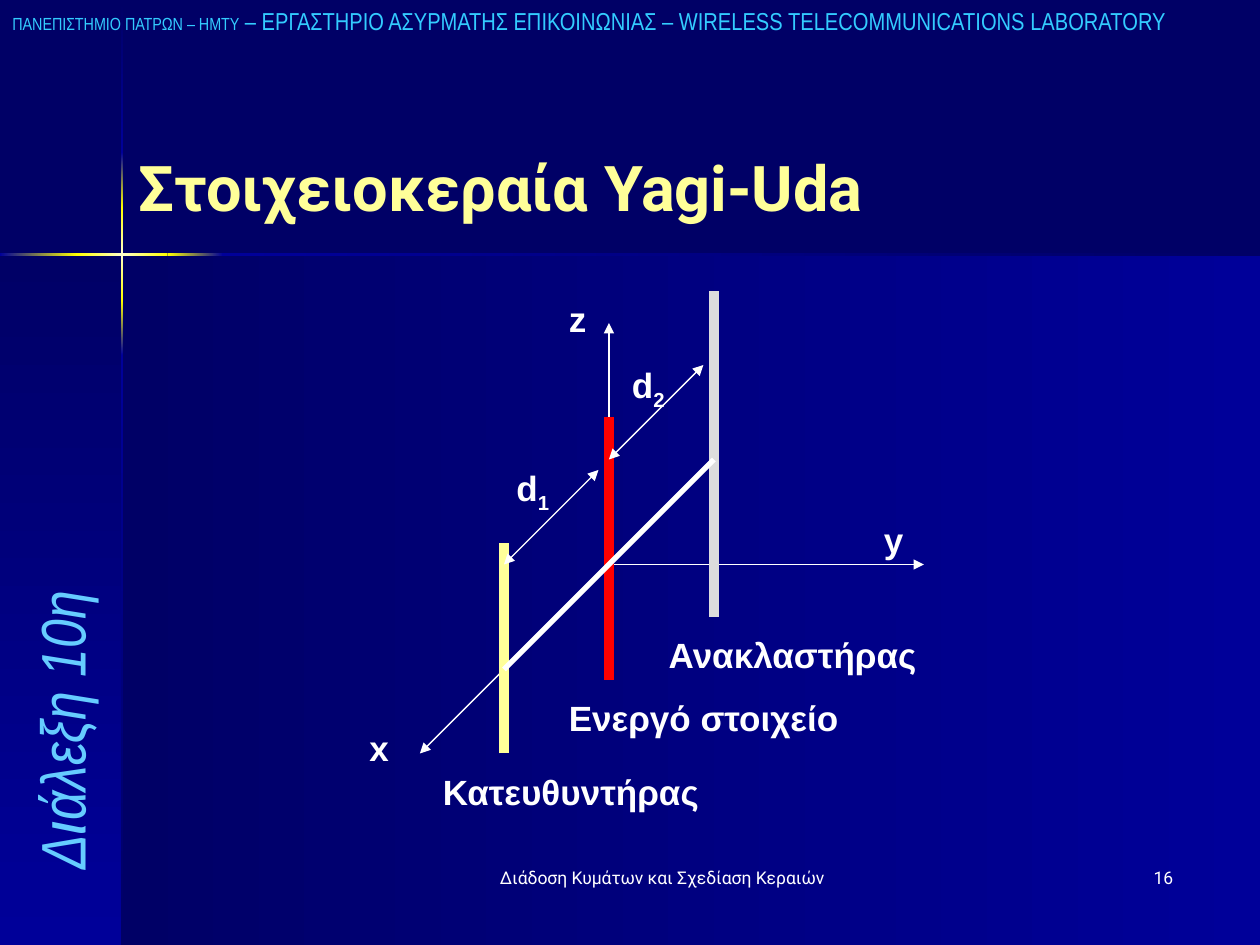
from dataclasses import dataclass
from copy import deepcopy
from itertools import pairwise

from lxml import etree
from pptx import Presentation
from pptx.dml.color import RGBColor
from pptx.enum.shapes import MSO_CONNECTOR, MSO_SHAPE
from pptx.enum.text import MSO_ANCHOR, MSO_AUTO_SIZE, PP_ALIGN
from pptx.oxml.ns import qn
from pptx.util import Inches, Pt

RECTANGLE = MSO_SHAPE.RECTANGLE
STRAIGHT = MSO_CONNECTOR.STRAIGHT
TOP, BOTTOM = MSO_ANCHOR.TOP, MSO_ANCHOR.BOTTOM
LEFT, CENTER, RIGHT = PP_ALIGN.LEFT, PP_ALIGN.CENTER, PP_ALIGN.RIGHT
GROW, FIXED = MSO_AUTO_SIZE.SHAPE_TO_FIT_TEXT, MSO_AUTO_SIZE.NONE
RIGHTWARD, DOWNWARD = 0, 270

COLUMNS, ROWS = 100, 75
ORIGIN = (48.33, 44.8)  # where the antenna axes meet, in columns and rows
STEP = 10 / 12          # one diagram unit, in columns or rows


@dataclass(frozen=True)
class Theme:
    night: str = "000066"
    blue: str = "000099"
    gold: str = "FFFF00"
    glow: str = "FFFFCC"
    title: str = "FFFF99"
    lecture: str = "66CCFF"
    header: str = "33CCFF"
    white: str = "FFFFFF"
    active: str = "FF0000"
    reflector: str = "DDDDDD"
    narrow: str = "Arial Narrow"
    label: str = "Arial"
    body: str = "Roboto"
    large: int = 36
    medium: int = 20
    heading: int = 14
    small: int = 10
    thin: float = 0.75
    boom: int = 3
    rod: int = 6


def write(para, text, *, size, font, color, bold=False, italic=False, subscript=False):
    span = para.add_run()
    span.text = text
    span.font.size = Pt(size)
    span.font.name = font
    span.font.color.rgb = RGBColor.from_string(color)
    span.font.bold, span.font.italic = bold, italic
    if subscript:
        span.font._element.set("baseline", "-25000")


def diagram_point(x, y):
    """Turn diagram units, counted from the axes' origin, into columns and rows."""
    return ORIGIN[0] + x * STEP, ORIGIN[1] + y * STEP


class Page:
    def __init__(self, deck, theme):
        self.theme = theme
        self.slide = deck.slides.add_slide(deck.slide_layouts[6])
        self.column = deck.slide_width / COLUMNS
        self.row = deck.slide_height / ROWS
        background = self.slide.background.fill
        background.solid()
        background.fore_color.rgb = RGBColor.from_string(theme.night)

    def scale(self, *lengths):
        """Turn alternating columns and rows into slide lengths."""
        units = (self.column, self.row) * 2
        return [round(length * unit) for length, unit in zip(lengths, units)]

    def panel(self, area, colors, angle):
        """Add a rectangle whose gradient runs evenly through the colours."""
        shape = self.slide.shapes.add_shape(RECTANGLE, *self.scale(*area))
        shape.shadow.inherit = False
        shape.line.fill.background()
        shape.fill.gradient()
        shape.fill.gradient_angle = angle
        stops = shape._element.spPr.find(".//" + qn("a:gsLst"))
        for _ in colors[2:]:
            stops.append(deepcopy(stops[0]))
        for index, (stop, color) in enumerate(zip(shape.fill.gradient_stops, colors)):
            stop.position = index / (len(colors) - 1)
            stop.color.rgb = RGBColor.from_string(color)

    def line(self, start, end, color, width, head=False, tail=False):
        """Join two diagram points; head and tail put arrows at start and end."""
        ends = self.scale(*diagram_point(*start), *diagram_point(*end))
        connector = self.slide.shapes.add_connector(STRAIGHT, *ends)
        connector.line.color.rgb = RGBColor.from_string(color)
        connector.line.width = Pt(width)
        outline = connector.line._get_or_add_ln()
        for name, wanted in (("a:headEnd", head), ("a:tailEnd", tail)):
            if wanted:
                etree.SubElement(outline, qn(name)).set("type", "triangle")
        etree.SubElement(connector._element.spPr, qn("a:effectLst"))

    def text(self, area, spans, *, align=LEFT, anchor=TOP, rotation=0,
             spacing=1.0, fit=FIXED, **style):
        """Add a box of (text, own format) spans that share the given style."""
        box = self.slide.shapes.add_textbox(*self.scale(*area))
        box.rotation = rotation
        frame = box.text_frame
        frame.word_wrap = True
        frame.auto_size = fit
        frame.vertical_anchor = anchor
        para = frame.paragraphs[0]
        para.alignment = align
        para.line_spacing = spacing
        for text, own in spans:
            write(para, text, **{**style, **own})

    def label(self, x, y, text, subscript="", width=9, align=LEFT):
        spans = [(text, {})]
        if subscript:
            spans.append((subscript, {"subscript": True}))
        self.text((*diagram_point(x, y), width * STEP, 6), spans, align=align,
                  spacing=1.5, fit=GROW, size=self.theme.medium,
                  font=self.theme.label, color=self.theme.white, bold=True)


def draw_frame(page):
    theme = page.theme
    page.panel((9.7, 20.2, 90.3, 54.8), (theme.night, theme.blue), RIGHTWARD)
    page.panel((0, 20.2, 9.7, 54.8), (theme.night, theme.blue), DOWNWARD)
    shades = [
        (theme.night, theme.blue),
        (theme.blue, theme.gold),
        (theme.gold, theme.glow, theme.gold),
        (theme.gold, theme.blue),
        (theme.blue, theme.night),
    ]
    for (top, bottom), colors in zip(pairwise((0.1, 12.1, 16.5, 23.8, 28.2, 75)), shades):
        page.panel((9.6, top, 0.2, bottom - top), colors, DOWNWARD)
    for (left, right), colors in zip(pairwise((0, 6.1, 13.3, 17.7, 100)), shades[1:]):
        page.panel((left, 20.1, right - left, 0.2), colors, RIGHTWARD)


def draw_texts(page):
    theme = page.theme
    page.text((-14.2, 47.5, 38.3, 6.7), [("Διάλεξη 10η", {})], rotation=270, anchor=BOTTOM,
              size=theme.large, font=theme.narrow, color=theme.lecture, italic=True)
    page.text((10, 9.3, 77.5, 9), [("Στοιχειοκεραία Yagi-Uda", {})], anchor=BOTTOM,
              size=theme.large, font=theme.body, color=theme.title, bold=True)
    page.text((0, 0, 111.7, 3.3), [
        ("ΠΑΝΕΠΙΣΤΗΜΙΟ ΠΑΤΡΩΝ – ΗΜΤΥ", {"size": theme.small}),
        (" – ΕΡΓΑΣΤΗΡΙΟ ΑΣΥΡΜΑΤΗΣ ΕΠΙΚΟΙΝΩΝΙΑΣ – WIRELESS TELECOMMUNICATIONS LABORATORY", {}),
    ], size=theme.heading, font=theme.narrow, color=theme.header)
    footer = {"size": theme.small, "font": theme.body, "color": theme.white}
    page.text((36.7, 68.3, 31.7, 5), [("Διάδοση Κυμάτων και Σχεδίαση Κεραιών", {})],
              align=CENTER, **footer)
    page.text((73.3, 68.3, 20.8, 5), [("16", {})], align=RIGHT, **footer)


def draw_antenna(page):
    theme = page.theme
    for axis_end in ((30, 0), (0, -23), (-18, 18)):
        page.line((0, 0), axis_end, theme.white, theme.thin, tail=True)
    rods = [
        (-10, 18, -2, theme.title),
        (0, 11, -14, theme.active),
        (10, 5, -26, theme.reflector),
    ]
    for x, bottom, top, color in rods:
        page.line((x, bottom), (x, top), color, theme.rod)
    page.line((-10, 10), (10, -10), theme.white, theme.boom)
    for start, end in (((9, -19), (0, -10)), ((-1, -9), (-10, 0))):
        page.line(start, end, theme.white, theme.thin, head=True, tail=True)

    page.label(-24, 12.8, "x")
    page.label(25, -7, "y")
    page.label(-5, -28, "z")
    page.label(1, -22, "d", "2")
    page.label(-10, -12.2, "d", "1")
    page.label(-5, 10, "Ενεργό στοιχείο", width=29)
    page.label(3, 4, "Ανακλαστήρας", width=29, align=CENTER)
    page.label(-17, 17, "Κατευθυντήρας", width=29)


def main():
    deck = Presentation()
    deck.slide_width, deck.slide_height = Inches(10), Inches(7.5)
    page = Page(deck, Theme())
    draw_frame(page)
    draw_texts(page)
    draw_antenna(page)
    deck.save("out.pptx")


if __name__ == "__main__":
    main()
